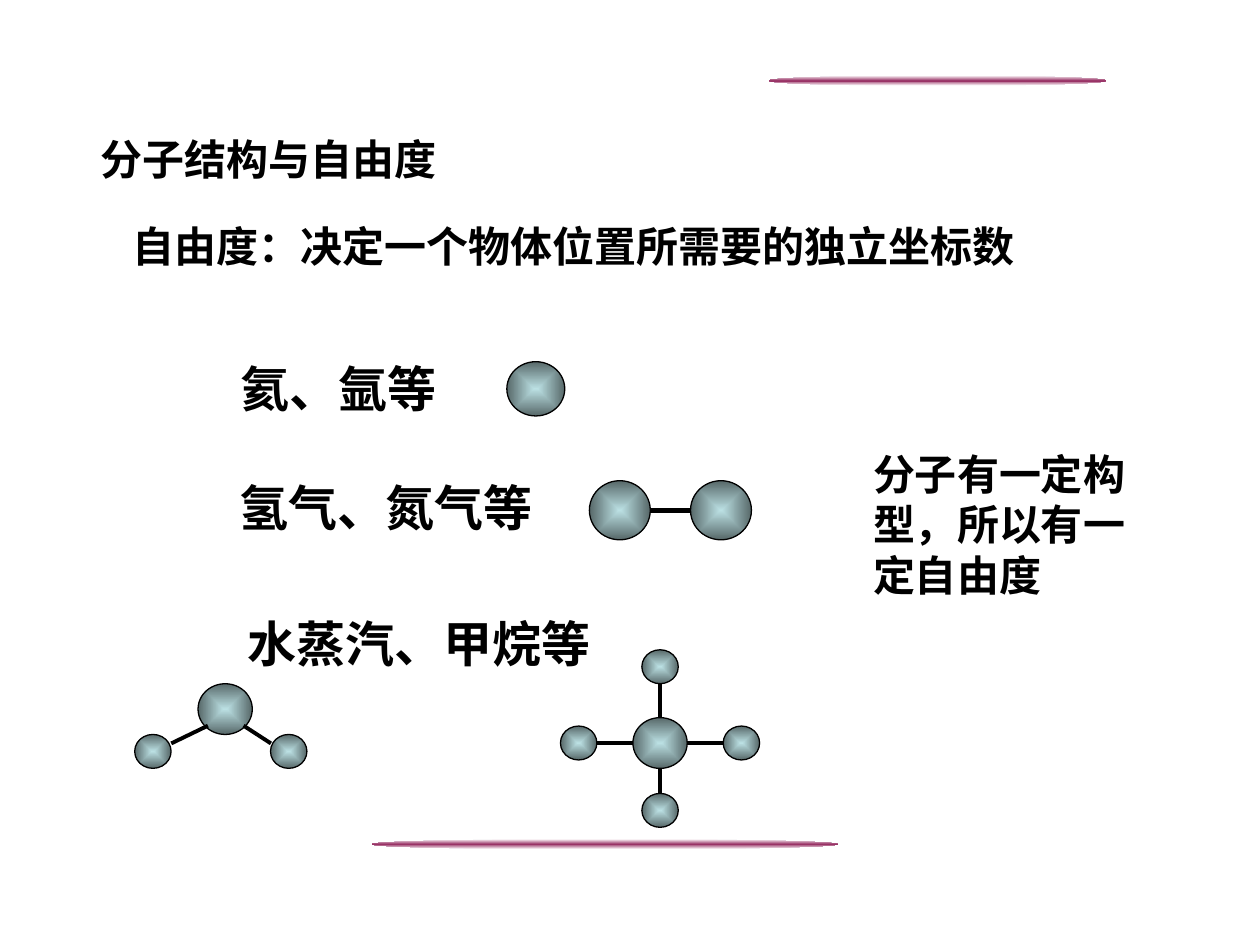
from pptx import Presentation
from pptx.dml.color import RGBColor
from pptx.enum.shapes import MSO_CONNECTOR as CONNECTOR, MSO_SHAPE as SHAPE
from pptx.enum.text import MSO_ANCHOR as ANCHOR, MSO_AUTO_SIZE as AUTO_SIZE, PP_ALIGN as ALIGN
from pptx.oxml import parse_xml
from pptx.oxml.ns import nsdecls, qn
from pptx.util import Pt
from lxml import etree

BLACK = RGBColor(0x00, 0x00, 0x00)
WHITE = RGBColor(0xFF, 0xFF, 0xFF)
PLUM = RGBColor(0x99, 0x33, 0x66)
ATOM_LIGHT = RGBColor(0xBB, 0xE0, 0xE3)
ATOM_DARK = RGBColor(0x57, 0x68, 0x69)

VERTICAL = '<a:lin ang="5400000" scaled="1"/>'
FROM_CENTER = ('<a:path path="rect"><a:fillToRect l="50000" t="50000" '
               'r="50000" b="50000"/></a:path>')

presentation = Presentation()
presentation.slide_width = Pt(720)
presentation.slide_height = Pt(540)
slide = presentation.slides.add_slide(presentation.slide_layouts[5])


def add_ellipse(left, top, width, height, colors, direction):
    shape = slide.shapes.add_shape(SHAPE.OVAL, Pt(left), Pt(top), Pt(width), Pt(height))
    shape.shadow.inherit = False
    shape.fill.gradient()
    stops = "".join(
        f'<a:gs pos="{100000 * i // (len(colors) - 1)}"><a:srgbClr val="{color}"/></a:gs>'
        for i, color in enumerate(colors))
    properties = shape._element.spPr
    properties.replace(properties.find(qn("a:gradFill")), parse_xml(
        f'<a:gradFill {nsdecls("a")} rotWithShape="1"><a:gsLst>{stops}</a:gsLst>'
        f'{direction}</a:gradFill>'))
    return shape


def format_text(shape, text, size, font_name, wrap):
    frame = shape.text_frame
    frame.text = text
    frame.word_wrap = wrap
    frame.auto_size = AUTO_SIZE.SHAPE_TO_FIT_TEXT
    frame.vertical_anchor = ANCHOR.TOP
    paragraph = frame.paragraphs[0]
    paragraph.alignment = ALIGN.LEFT
    font = paragraph.runs[0].font
    font.size = Pt(size)
    font.name = font_name
    font.bold = True
    font.color.rgb = BLACK


# Decorative bars at the bottom and top
for left, top, width in [(212.4, 479.5, 266.4), (439.2, 43.2, 193)]:
    bar = add_ellipse(left, top, width, 5.8, [WHITE, PLUM, WHITE], VERTICAL)
    bar.line.fill.background()

# Title
title = slide.shapes.title
title.left, title.top, title.width, title.height = Pt(50.4), Pt(72.7), Pt(319), Pt(36)
format_text(title, "分子结构与自由度", 24, "Arial", True)

# Definition, molecule labels and remark
texts = [
    ("自由度：决定一个物体位置所需要的独立坐标数", 68.4, 122.4, 537, 36, 24, "Arial", True),
    ("氦、氩等", 130.3, 201.6, 126, 41, 28, "Times New Roman", False),
    ("氢气、氮气等", 129.6, 269.3, 182, 41, 28, "Times New Roman", False),
    ("水蒸汽、甲烷等", 134.6, 347, 210, 41, 28, "Times New Roman", False),
    ("分子有一定构型，所以有一定自由度", 491.8, 252.7, 164, 93.6, 24, "Arial", True),
]
for text, left, top, width, height, size, font_name, wrap in texts:
    box = slide.shapes.add_textbox(Pt(left), Pt(top), Pt(width), Pt(height))
    format_text(box, text, size, font_name, wrap)

# Atoms: size, then centres
atoms = [
    ((33.1, 31), [(306.2, 222.2)]),                                # helium
    ((34.8, 33.8), [(354.2, 291.6), (412, 291.6)]),                # hydrogen
    ((31, 29), [(128.7, 405.2), (377.2, 424.6)]),                  # oxygen, carbon
    ((20.8, 19.4), [(87.4, 429.4), (165, 429.4),                   # water
                    (377.2, 381), (377.2, 463.1),                  # methane
                    (330.7, 424.6), (423.7, 424.6)]),
]
for (width, height), centers in atoms:
    for x, y in centers:
        atom = add_ellipse(x - width / 2, y - height / 2, width, height,
                           [ATOM_LIGHT, ATOM_DARK], FROM_CENTER)
        atom.line.color.rgb = BLACK
        atom.line.width = Pt(0.75)

# Bonds: start, end, line width
bonds = [
    (371.6, 291.6, 394.6, 291.6, 3),
    (118.8, 414.7, 97.9, 424.8, 2.25),
    (139.2, 414.7, 154.8, 424.8, 2.25),
    (377.2, 390.8, 377.2, 410, 2.25),
    (377.2, 439.1, 377.2, 453.4, 2.25),
    (341.2, 424.6, 361.6, 424.6, 2.25),
    (392.8, 424.6, 413.2, 424.6, 2.25),
]
for start_x, start_y, end_x, end_y, width in bonds:
    bond = slide.shapes.add_connector(
        CONNECTOR.STRAIGHT, Pt(start_x), Pt(start_y), Pt(end_x), Pt(end_y))
    bond.line.color.rgb = BLACK
    bond.line.width = Pt(width)
    etree.SubElement(bond._element.spPr, qn("a:effectLst"))

presentation.save("out.pptx")
